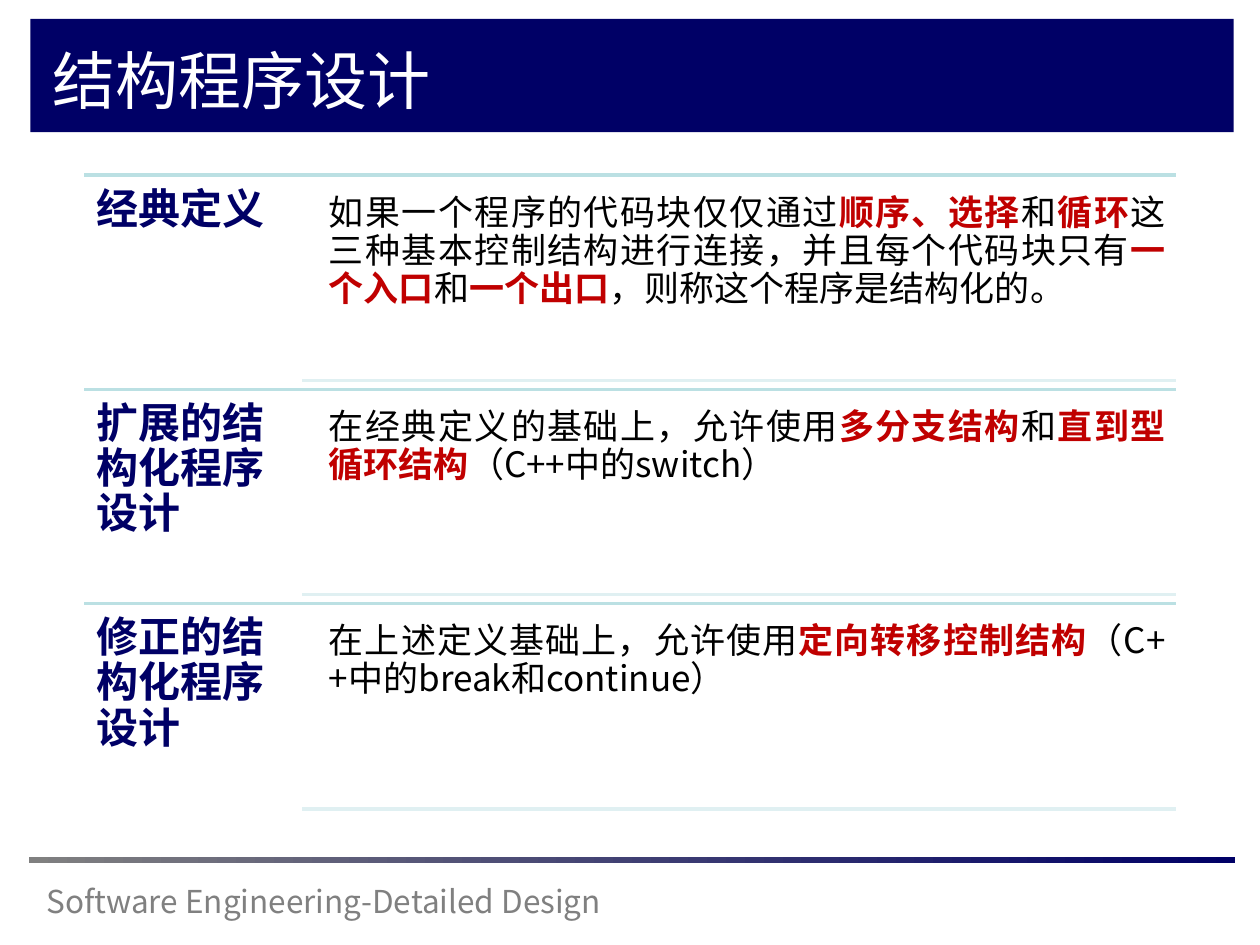
from lxml import etree
from pptx import Presentation
from pptx.dml.color import RGBColor
from pptx.enum.shapes import MSO_CONNECTOR, MSO_SHAPE
from pptx.enum.text import MSO_ANCHOR, PP_ALIGN
from pptx.oxml.ns import qn
from pptx.util import Inches, Pt

RECTANGLE = MSO_SHAPE.RECTANGLE
STRAIGHT = MSO_CONNECTOR.STRAIGHT
TOP, MIDDLE = MSO_ANCHOR.TOP, MSO_ANCHOR.MIDDLE
LEFT, JUSTIFY = PP_ALIGN.LEFT, PP_ALIGN.JUSTIFY

COLORS = {
    "navy": "000066",
    "gray": "808080",
    "white": "FFFFFF",
    "black": "000000",
    "red": "C00000",
    "rule": "BBE0E3",
    "pale_rule": "E0F0F2",
}

DEFINITIONS = [
    ("经典定义",
     ["如果一个程序的代码块仅仅通过", "顺序、选择", "和", "循环",
      "这三种基本控制结构进行连接，并且每个代码块只有", "一个入口", "和",
      "一个出口", "，则称这个程序是结构化的。"]),
    ("扩展的结构化程序设计",
     ["在经典定义的基础上，允许使用", "多分支结构", "和", "直到型循环结构",
      "（C++中的switch）"]),
    ("修正的结构化程序设计",
     ["在上述定义基础上，允许使用", "定向转移控制结构",
      "（C++中的break和continue）"]),
]


class SlideBuilder:
    FONT = "Noto Sans CJK SC"
    COLUMNS, ROWS = 100, 75

    def __init__(self, deck):
        self.deck = deck
        self.slide = deck.slides.add_slide(deck.slide_layouts[6])

    def place(self, column, row):
        return (round(self.deck.slide_width * column / self.COLUMNS),
                round(self.deck.slide_height * row / self.ROWS))

    def color(self, name):
        return RGBColor.from_string(COLORS[name])

    def bar(self, column, row, width, height, *colors):
        bar = self.slide.shapes.add_shape(
            RECTANGLE, *self.place(column, row), *self.place(width, height))
        bar.shadow.inherit = False
        bar.line.fill.background()
        if len(colors) == 1:
            bar.fill.solid()
            bar.fill.fore_color.rgb = self.color(colors[0])
        else:
            bar.fill.gradient()
            bar.fill.gradient_angle = 0
            for stop, name in zip(bar.fill.gradient_stops, colors):
                stop.color.rgb = self.color(name)

    def rule(self, start, end, row, color):
        rule = self.slide.shapes.add_connector(
            STRAIGHT, *self.place(start, row), *self.place(end, row))
        rule.line.color.rgb = self.color(color)
        rule.line.width = Pt(2)
        etree.SubElement(rule._element.spPr, qn("a:effectLst"))

    def text(self, column, row, width, height, segments, size, color,
             bold=False, anchor=TOP, align=LEFT, spacing=1.0,
             inset_x=0.1, inset_y=0.05):
        box = self.slide.shapes.add_textbox(
            *self.place(column, row), *self.place(width, height))
        frame = box.text_frame
        frame.word_wrap = True
        frame.vertical_anchor = anchor
        frame.margin_left = frame.margin_right = Inches(inset_x)
        frame.margin_top = frame.margin_bottom = Inches(inset_y)
        paragraph = frame.paragraphs[0]
        paragraph.alignment = align
        paragraph.line_spacing = spacing
        for index, segment in enumerate(segments):
            emphasized = index % 2 == 1
            run = paragraph.add_run()
            run.text = segment
            run.font.size = Pt(size)
            run.font.bold = bold or emphasized
            run.font.color.rgb = self.color("red" if emphasized else color)
            run.font.name = self.FONT
            east_asian = etree.SubElement(run.font._element, qn("a:ea"))
            east_asian.set("typeface", self.FONT)

    def definition(self, row, term, segments):
        self.rule(6.7, 93.3, row, "rule")
        self.text(6.7, row, 17.3, 15.2, [term], 24, "navy", bold=True,
                  spacing=0.9, inset_y=0.1)
        self.text(25.3, row + 0.8, 68, 15.4, segments, 20, "black",
                  align=JUSTIFY, spacing=0.9, inset_x=0.08, inset_y=0.08)
        self.rule(24, 93.3, row + 16.3, "pale_rule")


def main():
    deck = Presentation()
    deck.slide_width, deck.slide_height = Inches(10), Inches(7.5)
    builder = SlideBuilder(deck)
    builder.bar(2.4, 1.5, 95.5, 9, "navy")
    builder.text(2.7, 69.5, 51.7, 4, ["Software Engineering-Detailed Design"],
                 18, "gray", anchor=MIDDLE)
    builder.bar(2.3, 68, 95.7, 0.5, "gray", "navy")
    builder.text(3.2, 2.6, 88.1, 7.4, ["结构程序设计"], 36, "white",
                 anchor=MIDDLE)
    for index, (term, segments) in enumerate(DEFINITIONS):
        builder.definition(13.9 + 17 * index, term, segments)
    deck.save("out.pptx")


if __name__ == "__main__":
    main()
